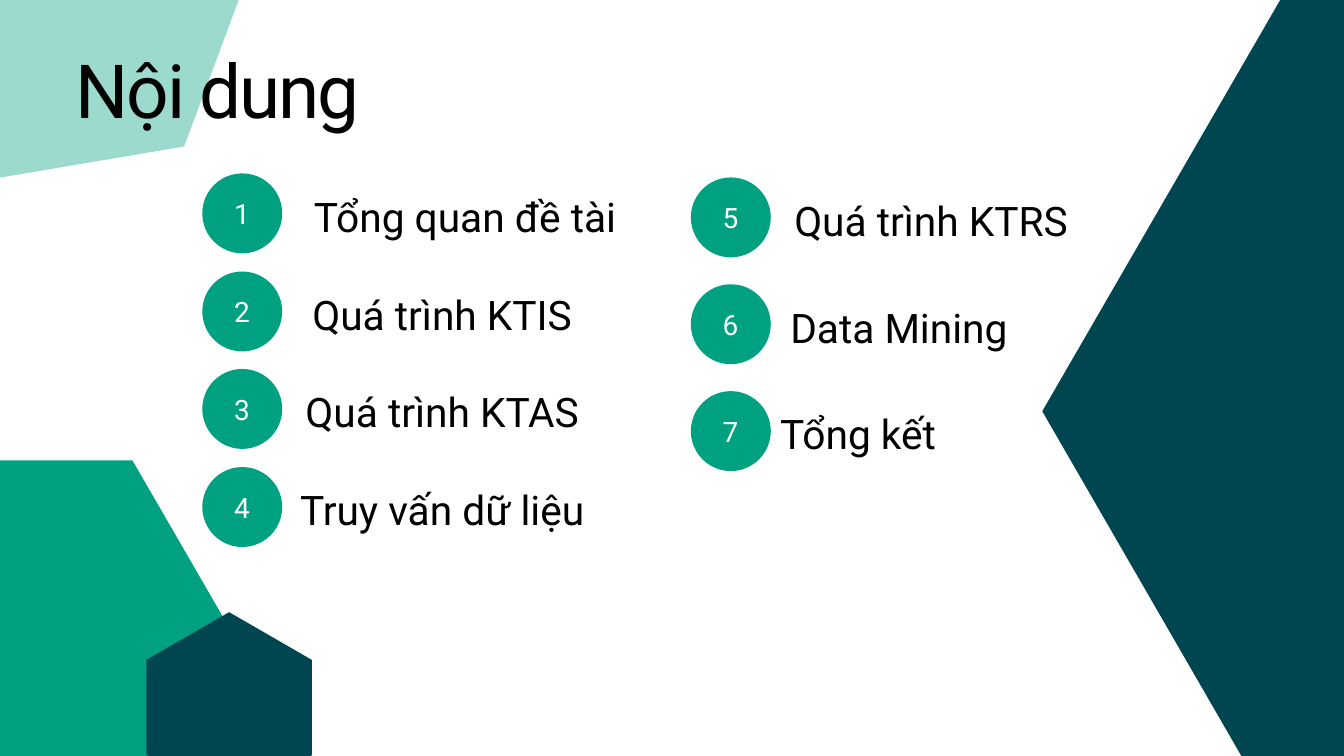
from dataclasses import dataclass

from lxml import etree
from pptx import Presentation
from pptx import util as u
from pptx.dml.color import RGBColor
from pptx.enum import shapes, text
from pptx.oxml.ns import qn

PX = 9144
GREEN, DARK, BLACK, WHITE = "00A181", "004651", "000000", "FFFFFF"
LEFT, MID = text.PP_ALIGN.LEFT, text.PP_ALIGN.CENTER
GROW = text.MSO_AUTO_SIZE.SHAPE_TO_FIT_TEXT
FIXED = text.MSO_AUTO_SIZE.NONE


@dataclass
class Style:
    size: float
    line: int
    color: str
    align: text.PP_ALIGN = LEFT
    anchor: text.MSO_ANCHOR = text.MSO_ANCHOR.TOP
    fit: text.MSO_AUTO_SIZE = GROW
    inset: int = 0
    track: int = 0


@dataclass
class Item:
    label: str
    left: int
    width: int
    align: text.PP_ALIGN = MID


@dataclass
class Column:
    left: int
    top: int
    step: float
    items: list[Item]


@dataclass
class Poly:
    points: list[tuple[int, int]]
    color: str
    alpha: int = 100


TITLE = Style(80, 104, BLACK, track=-220)
NUMBER = Style(30, 42, WHITE, MID, text.MSO_ANCHOR.MIDDLE, FIXED, 6)

POLYS = [
    Poly([(1551, 612), (1908, -5), (2620, -5), (2976, 612), (2620, 1230), (1908, 1230)], DARK),
    Poly([(-236, 934), (-92, 685), (197, 685), (341, 934), (197, 1184), (-92, 1184)], GREEN),
    Poly([(218, 1123), (218, 982), (341, 911), (464, 982), (464, 1124), (341, 1194)], DARK),
    Poly([(375, -53), (274, 218), (-10, 266), (-194, 44), (-94, -227), (191, -275)], GREEN, 39),
]

COLUMNS = [
    Column(301, 258, 145.67, [
        Item("Tổng quan đề tài", 446, 492),
        Item("Quá trình KTIS", 446, 424),
        Item("Quá trình KTAS", 432, 452),
        Item("Truy vấn dữ liệu", 427, 462),
    ]),
    Column(1028, 264, 159, [
        Item("Quá trình KTRS", 1161, 449),
        Item(" Data Mining", 1161, 371, LEFT),
        Item("Tổng kết", 1161, 254, LEFT),
    ]),
]


def rgb(code: str) -> RGBColor:
    return RGBColor.from_string(code)


def px(*vals: float) -> list[int]:
    return [round(v * PX) for v in vals]


def assign(obj, vals: dict) -> None:
    for key, val in vals.items():
        setattr(obj, key, val)


def paint(shape, color: str, alpha: int = 100) -> None:
    shape.shadow.inherit = False
    shape.line.fill.background()
    shape.fill.solid()
    shape.fill.fore_color.rgb = rgb(color)
    if alpha < 100:
        tint = shape.fill._xPr.find(".//" + qn("a:srgbClr"))
        etree.SubElement(tint, qn("a:alpha")).set("val", str(alpha * 1000))


def draw_poly(slide, poly: Poly) -> None:
    start, *rest = poly.points
    pen = slide.shapes.build_freeform(*start, scale=PX)
    pen.add_line_segments(rest, close=True)
    paint(pen.convert_to_shape(), poly.color, poly.alpha)


def write(slide, words: str, box: tuple, style: Style) -> None:
    frame = slide.shapes.add_textbox(*px(*box)).text_frame
    pad = style.inset * PX
    assign(frame, dict(
        word_wrap=True, auto_size=style.fit, vertical_anchor=style.anchor,
        margin_left=pad, margin_top=pad, margin_right=pad, margin_bottom=pad))
    para = frame.paragraphs[0]
    assign(para, dict(alignment=style.align, line_spacing=u.Pt(style.line)))
    run = para.add_run()
    run.text = words
    assign(run.font, dict(name="Roboto", size=u.Pt(style.size)))
    run.font.color.rgb = rgb(style.color)
    if style.track:
        run.font._element.set("spc", str(style.track))


def draw_column(slide, col: Column, first: int) -> None:
    for i, item in enumerate(col.items):
        top = round(col.top + i * col.step)
        disc = slide.shapes.add_shape(
            shapes.MSO_SHAPE.OVAL, *px(col.left, top, 119, 119))
        paint(disc, GREEN)
        write(slide, str(first + i), (col.left + 11, top + 4, 96, 103), NUMBER)
        write(slide, item.label, (item.left, top + 15, item.width, 80),
              Style(43.6, 61, BLACK, item.align))


def main() -> None:
    deck = Presentation()
    deck.slide_width, deck.slide_height = px(2000, 1125)
    slide = deck.slides.add_slide(deck.slide_layouts[6])
    for poly in POLYS:
        draw_poly(slide, poly)
    write(slide, "Nội dung", (112, 54, 803, 141), TITLE)
    first = 1
    for col in COLUMNS:
        draw_column(slide, col, first)
        first += len(col.items)
    deck.save("out.pptx")


if __name__ == "__main__":
    main()
